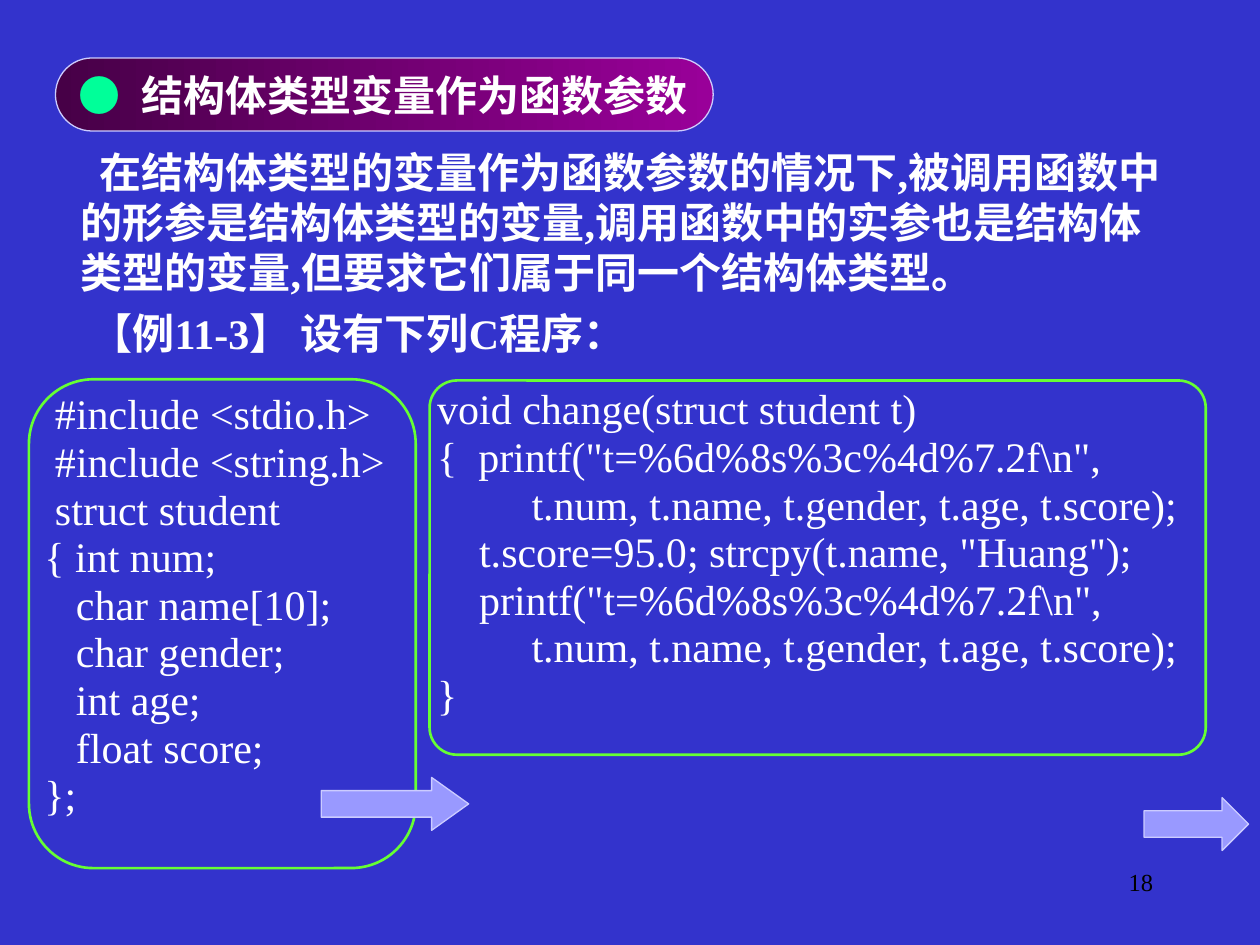
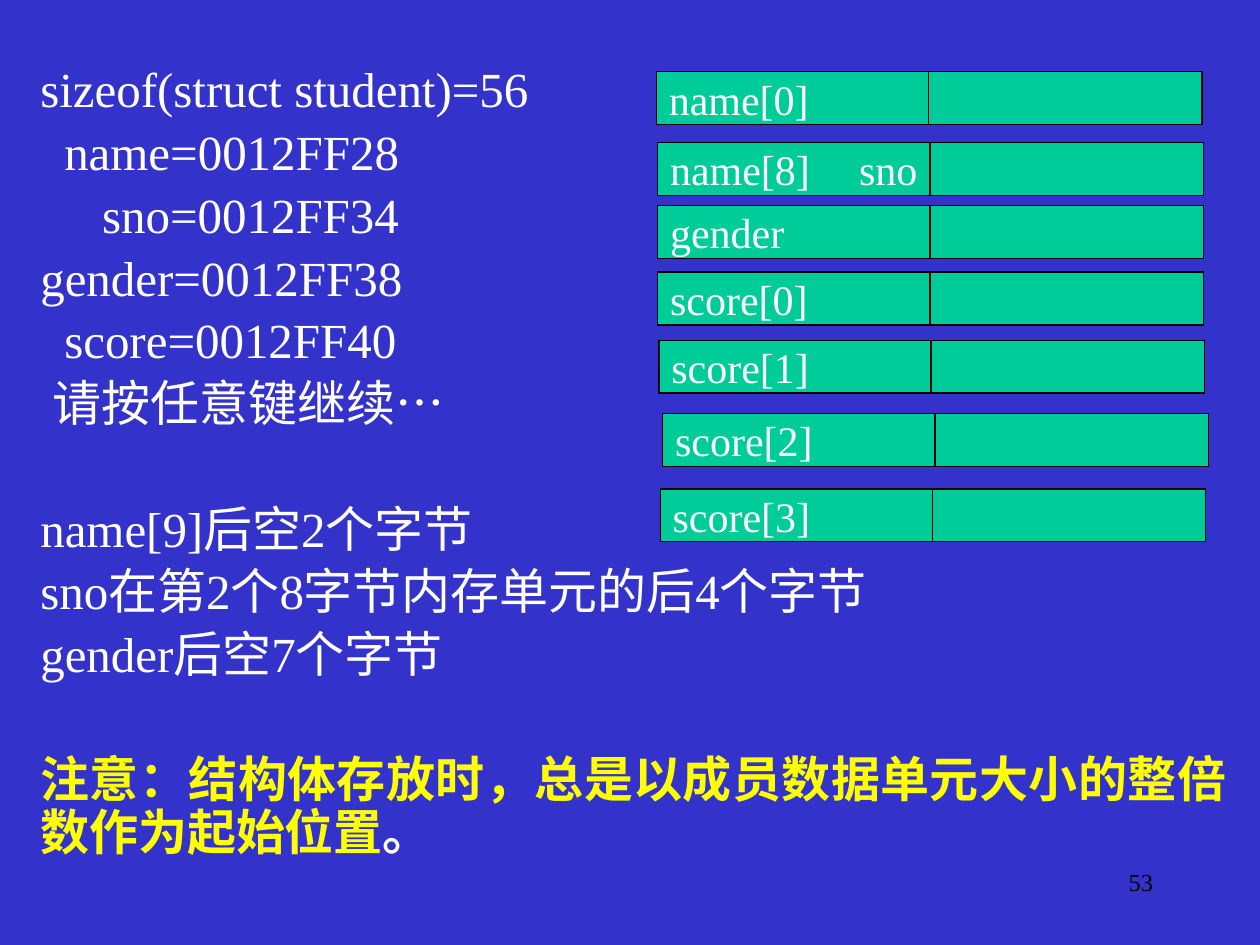
from dataclasses import dataclass

from pptx import Presentation
from pptx import util as u
from pptx.dml import color
from pptx.enum import shapes, text
from pptx.oxml import ns
from lxml import etree

PX = 9144


@dataclass(frozen=True)
class Theme:
    font: str = "Times New Roman"
    ground: str = "3333CC"
    ink: str = "FFFFFF"
    bullet: str = "00FF99"
    band_start: str = "470047"
    band_end: str = "990099"
    edge: str = "CCCCFF"
    frame: str = "66FF33"
    arrow: str = "9999FF"
    cell: str = "00CC99"
    dark: str = "000000"
    warning: str = "FFFF00"
    regular: int = 24
    large: int = 28
    small: int = 14


theme = Theme()
rgb = color.RGBColor.from_string
Align = text.PP_ALIGN
Kind = shapes.MSO_SHAPE


def place(box, at, inset=(4, 0), anchor=text.MSO_ANCHOR.TOP, wrap=True):
    box.left, box.top, box.width, box.height = (n * PX for n in at)
    frame = box.text_frame
    frame.auto_size = text.MSO_AUTO_SIZE.NONE
    frame.word_wrap = wrap
    frame.vertical_anchor = anchor
    frame.margin_left = frame.margin_right = inset[0] * PX
    frame.margin_top = frame.margin_bottom = inset[1] * PX
    return frame


def write(para, spans, size=theme.regular, margin=0, first=0, tab=None,
          before=0, leading=1.0, align=Align.LEFT):
    props = para._p.get_or_add_pPr()
    props.set("marL", str(margin * PX))
    props.set("indent", str(first * PX))
    etree.SubElement(props, ns.qn("a:buNone"))
    if tab:
        stops = etree.SubElement(props, ns.qn("a:tabLst"))
        etree.SubElement(stops, ns.qn("a:tab"), pos=str(tab * PX), algn="l")
    para.alignment = align
    para.line_spacing = leading
    para.space_before = u.Pt(before)
    para.space_after = u.Pt(0)
    for words, ink, bold in spans:
        span = para.add_run()
        span.text = words
        span.font.name = theme.font
        span.font.size = u.Pt(size)
        span.font.bold = bold
        span.font.color.rgb = rgb(ink)


deck = Presentation()
deck.slide_width, deck.slide_height = 1000 * PX, 750 * PX
ground = deck.slide_master.background.fill
ground.solid()
ground.fore_color.rgb = rgb(theme.ground)

pages = []
for number in ("18", "53"):
    page = deck.slides.add_slide(deck.slide_layouts[1])
    frame = place(page.shapes.add_textbox(0, 0, 0, 0), (717, 683, 208, 50), (10, 5))
    write(frame.paragraphs[0], [(number, theme.dark, False)], theme.small, align=Align.RIGHT)
    pages.append(page)
parameters, layout = pages

title = place(parameters.shapes.title, (52, 50, 525, 50), (10, 5))
write(title.paragraphs[0], [("●\t", theme.bullet, False),
                            ("结构体类型变量作为函数参数", theme.ink, True)], tab=48)

body = place(parameters.placeholders[1], (60, 116, 867, 121))
write(body.paragraphs[0], [(
    "在结构体类型的变量作为函数参数的情况下,被调用函数中的形参是结构体类型的变量,"
    "调用函数中的实参也是结构体类型的变量,但要求它们属于同一个结构体类型。",
    theme.ink, True)], first=15)

example = place(parameters.shapes.add_textbox(0, 0, 0, 0), (68, 244, 592, 40))
write(example.paragraphs[0], [("【例11-3】 设有下列C程序：", theme.ink, True)])

struct_code = r"""  #include <stdio.h>
  #include <string.h>
  struct student
 { int num;
    char name[10];
    char gender;
    int age;
    float score;
 };"""
change_code = r"""void change(struct student t)
{  printf("t=%6d%8s%3c%4d%7.2f\n",
         t.num, t.name, t.gender, t.age, t.score);
    t.score=95.0; strcpy(t.name, "Huang");
    printf("t=%6d%8s%3c%4d%7.2f\n",
         t.num, t.name, t.gender, t.age, t.score);
}"""
for code, at in ((struct_code, (23, 320, 339, 349)), (change_code, (343, 316, 604, 269))):
    frame = place(parameters.shapes.add_textbox(0, 0, 0, 0), at)
    for index, line in enumerate(code.split("\n")):
        para = frame.add_paragraph() if index else frame.paragraphs[0]
        write(para, [(line, theme.ink, False)], before=7.2 if index else 0, leading=u.Pt(20))

outlines = [
    (Kind.ROUNDED_RECTANGLE, (44, 46, 522, 58), [0.5], None, theme.edge, 0.75),
    (Kind.ROUNDED_RECTANGLE, (23, 301, 307, 388), [0.167], None, theme.frame, 1.5),
    (Kind.RIGHT_ARROW, (255, 617, 117, 42), [0.5, 0.7], theme.arrow, theme.edge, 0.75),
    (Kind.ROUNDED_RECTANGLE, (341, 302, 616, 297), [0.073], None, theme.frame, 1.5),
    (Kind.RIGHT_ARROW, (908, 633, 83, 42), [0.5, 0.5], theme.arrow, theme.edge, 0.75),
]
drawn = []
for kind, at, adjustments, fill, edge, weight in outlines:
    shape = parameters.shapes.add_shape(kind, *(n * PX for n in at))
    shape.shadow.inherit = False
    for index, value in enumerate(adjustments):
        shape.adjustments[index] = value
    if fill:
        shape.fill.solid()
        shape.fill.fore_color.rgb = rgb(fill)
    else:
        shape.fill.background()
    shape.line.color.rgb = rgb(edge)
    shape.line.width = u.Pt(weight)
    drawn.append(shape)

band = drawn[0]
band.fill.gradient()
band.fill.gradient_angle = 0
for stop, position, ink in zip(band.fill.gradient_stops, (0, 1), (theme.band_start, theme.band_end)):
    stop.position = position
    stop.color.rgb = rgb(ink)
parameters.shapes._spTree.insert(2, band._element)

heading = layout.shapes.title._element
heading.getparent().remove(heading)

GAP = 5.6
SECTION_GAP = 41.4
notes = [
    ("sizeof(struct student)=56", 0, 0),
    ("name=0012FF28", 19, GAP),
    ("sno=0012FF34", 49, GAP),
    ("gender=0012FF38", 0, GAP),
    ("score=0012FF40", 19, GAP),
    ("请按任意键继续…", 10, GAP),
    ("name[9]后空2个字节", 0, SECTION_GAP),
    ("sno在第2个8字节内存单元的后4个字节", 0, GAP),
    ("gender后空7个字节", 0, GAP),
]
body = place(layout.placeholders[1], (28, 52, 950, 655))
for index, (words, margin, before) in enumerate(notes):
    para = body.add_paragraph() if index else body.paragraphs[0]
    write(para, [(words, theme.ink, False)], theme.large, margin,
          before=before, leading=0.9, align=Align.JUSTIFY)
write(body.add_paragraph(),
      [("注意：结构体存放时，总是以成员数据单元大小的整倍数作为起始位置", theme.warning, True),
       ("。", theme.ink, True)],
      theme.large, before=SECTION_GAP, leading=0.9, align=Align.JUSTIFY)

CELL_WIDTH, CELL_HEIGHT = 433, 42
memory_units = [
    ("name[0]", 521, 57), ("name[8]\tsno", 522, 113), ("gender", 522, 163),
    ("score[0]", 522, 216), ("score[1]", 523, 270), ("score[2]", 526, 328),
    ("score[3]", 524, 388),
]
for words, left, top in memory_units:
    unit = layout.shapes.add_shape(Kind.RECTANGLE, 0, 0, 0, 0)
    unit.shadow.inherit = False
    unit.fill.solid()
    unit.fill.fore_color.rgb = rgb(theme.cell)
    frame = place(unit, (left, top, CELL_WIDTH, CELL_HEIGHT), (10, 5),
                  text.MSO_ANCHOR.MIDDLE, wrap=False)
    write(frame.paragraphs[0], [(words, theme.ink, False)], tab=219)
    middle = left + CELL_WIDTH // 2
    divider = layout.shapes.add_connector(
        shapes.MSO_CONNECTOR.STRAIGHT, middle * PX, top * PX, middle * PX, (top + CELL_HEIGHT) * PX)
    etree.SubElement(divider._element.spPr, ns.qn("a:effectLst"))
    for outlined in (unit, divider):
        outlined.line.color.rgb = rgb(theme.dark)
        outlined.line.width = u.Pt(0.75)

deck.save("out.pptx")
